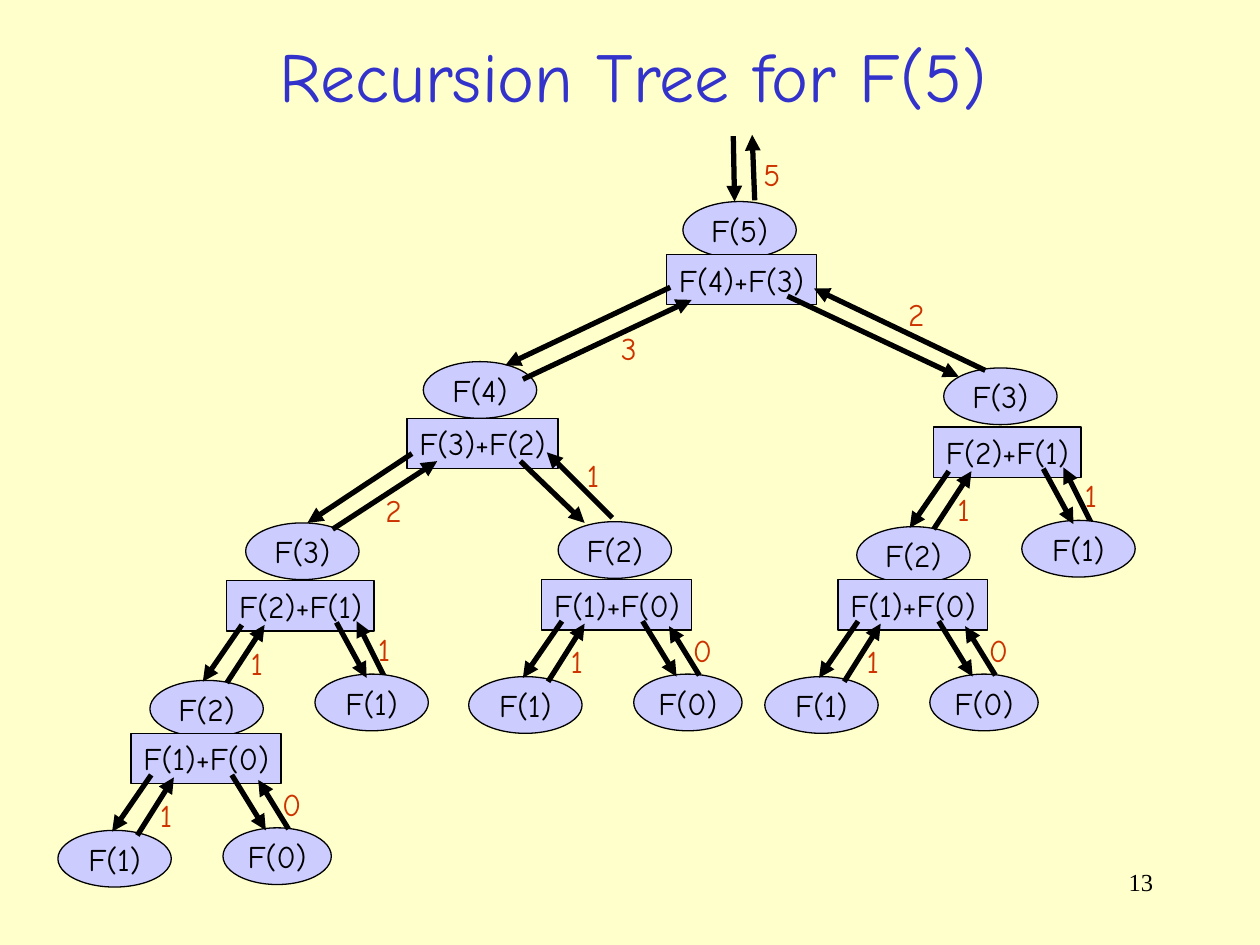
from lxml.etree import SubElement
from pptx import Presentation
from pptx.dml.color import RGBColor
from pptx.enum.shapes import MSO_CONNECTOR, MSO_SHAPE
from pptx.enum.text import MSO_ANCHOR, MSO_AUTO_SIZE, PP_ALIGN
from pptx.oxml.ns import qn
from pptx.util import Inches, Pt

TITLE = "Recursion Tree for F(5)"
PAGE_NUMBER = "13"
ROOT_ARGUMENT = 5
ROOT_SUM = (5.29, 2.02)

# Each branch is measured in inches from the sum box of the caller:
# ellipse, call arrow (from, to), return arrow (from, to), returned value,
# and the sum box of the called function (None for a base case).
# With back_under the return arrow starts beneath the ellipse.
ROOT_BRANCH = dict(ellipse=(0.13, -0.42), call=((0.53, -0.94), (0.54, -0.42)),
                   back=((0.7, -0.43), (0.68, -0.95)), value=(0.67, -0.84),
                   sum_box=(0, 0))
BRANCHES = {
    5: (dict(ellipse=(-1.93, 0.85), call=((0.03, 0.26), (-1.28, 0.88)),
             back=((-1.14, 0.99), (0.2, 0.36)), value=(-0.46, 0.54),
             sum_box=(-2.06, 1.3)),
        dict(ellipse=(2.2, 0.9), call=((0.96, 0.33), (2.32, 0.97)),
             back=((2.53, 0.92), (1.17, 0.27)), value=(1.82, 0.27),
             sum_box=(2.12, 1.37))),
    4: (dict(ellipse=(-1.28, 0.83), call=((0.04, 0.28), (-0.79, 0.83)),
             back=((-0.59, 0.88), (0.24, 0.34)), value=(-0.27, 0.53),
             sum_box=(-1.43, 1.29)),
        dict(ellipse=(1.2, 0.82), call=((0.9, 0.34), (1.41, 0.83)),
             back=((1.63, 0.79), (1.11, 0.27)), value=(1.33, 0.25),
             sum_box=(1.07, 1.28))),
    3: (dict(ellipse=(-0.61, 0.79), call=((0.12, 0.35), (-0.19, 0.8)),
             back=((0, 0.81), (0.3, 0.35)), value=(0.09, 0.45),
             sum_box=(-0.76, 1.21)),
        dict(ellipse=(0.7, 0.74), call=((0.87, 0.33), (1.11, 0.77)),
             back=((1.27, 0.8), (1.03, 0.32)), value=(1.1, 0.34),
             sum_box=None, back_under=True)),
    2: (dict(ellipse=(-0.58, 0.77), call=((0.16, 0.33), (-0.15, 0.78)),
             back=((0.05, 0.81), (0.34, 0.35)), value=(0.13, 0.45),
             sum_box=None),
        dict(ellipse=(0.73, 0.75), call=((0.8, 0.33), (1.07, 0.77)),
             back=((1.25, 0.76), (1.01, 0.37)), value=(1.1, 0.36),
             sum_box=None)),
}
ELLIPSE_WIDTHS = {0: 0.86}
SUM_WIDTHS = {3: 1.17, 4: 1.2}

CREAM = RGBColor(0xFF, 0xFF, 0xCC)
LAVENDER = RGBColor(0xCC, 0xCC, 0xFF)
BLUE = RGBColor(0x33, 0x33, 0xCC)
RED = RGBColor(0xCC, 0x33, 0x00)
BLACK = RGBColor(0x00, 0x00, 0x00)


def write(shape, text, size=18, font="Comic Neue", color=BLACK, align=PP_ALIGN.LEFT,
          anchor=MSO_ANCHOR.TOP, wrap=True, margin_right=0.1):
    frame = shape.text_frame
    frame.text = text
    frame.word_wrap = wrap
    frame.auto_size = MSO_AUTO_SIZE.NONE
    frame.vertical_anchor = anchor
    frame.margin_right = Inches(margin_right)
    paragraph = frame.paragraphs[0]
    paragraph.alignment = align
    run_font = paragraph.runs[0].font
    run_font.name = font
    run_font.size = Pt(size)
    run_font.color.rgb = color


def shifted(origin, offset):
    return origin[0] + offset[0], origin[1] + offset[1]


def add_text_box(slide, text, position, width, height, **text_format):
    box = slide.shapes.add_textbox(*map(Inches, (*position, width, height)))
    write(box, text, **text_format)


def add_node(slide, kind, text, position, width, height, **text_format):
    node = slide.shapes.add_shape(kind, *map(Inches, (*position, width, height)))
    node.shadow.inherit = False
    node.fill.solid()
    node.fill.fore_color.rgb = LAVENDER
    node.line.color.rgb = BLACK
    node.line.width = Pt(0.75)
    write(node, text, **text_format)


def add_arrow(slide, origin, ends):
    start, end = (shifted(origin, point) for point in ends)
    arrow = slide.shapes.add_connector(MSO_CONNECTOR.STRAIGHT,
                                       *map(Inches, (*start, *end)))
    arrow.line.color.rgb = BLACK
    arrow.line.width = Pt(3)
    SubElement(arrow.line._get_or_add_ln(), qn("a:tailEnd"), type="triangle")
    SubElement(arrow._element.spPr, qn("a:effectLst"))


def fibonacci(n):
    return n if n < 2 else fibonacci(n - 1) + fibonacci(n - 2)


def draw_call(slide, n, origin, branch):
    """Draw the call F(n) from the sum box at origin, then the calls it makes."""
    back_under = branch.get("back_under", False)
    if back_under:
        add_arrow(slide, origin, branch["back"])
    add_node(slide, MSO_SHAPE.OVAL, f"F({n})", shifted(origin, branch["ellipse"]),
             ELLIPSE_WIDTHS.get(n, 0.9), 0.45, wrap=False,
             align=PP_ALIGN.CENTER, anchor=MSO_ANCHOR.MIDDLE)
    add_arrow(slide, origin, branch["call"])
    if not back_under:
        add_arrow(slide, origin, branch["back"])
    add_text_box(slide, str(fibonacci(n)), shifted(origin, branch["value"]),
                 0.35, 0.4, color=RED)
    if branch["sum_box"] is None:
        return
    corner = shifted(origin, branch["sum_box"])
    add_node(slide, MSO_SHAPE.RECTANGLE, f"F({n - 1})+F({n - 2})", corner,
             SUM_WIDTHS.get(n, 1.19), 0.4, margin_right=0)
    for step, child in enumerate(BRANCHES[n], start=1):
        draw_call(slide, n - step, corner, child)


def main():
    presentation = Presentation()
    presentation.slide_width, presentation.slide_height = Inches(10), Inches(7.5)
    slide = presentation.slides.add_slide(presentation.slide_layouts[5])
    slide.background.fill.solid()
    slide.background.fill.fore_color.rgb = CREAM

    title = slide.shapes.title
    title.left, title.top = Inches(0.24), Inches(0.24)
    title.width, title.height = Inches(9.57), Inches(0.7)
    write(title, TITLE, size=40, color=BLUE, align=PP_ALIGN.CENTER,
          anchor=MSO_ANCHOR.MIDDLE)
    add_text_box(slide, PAGE_NUMBER, (7.17, 6.83), 2.08, 0.5, size=14,
                 font="Times New Roman", align=PP_ALIGN.RIGHT)

    draw_call(slide, ROOT_ARGUMENT, ROOT_SUM, ROOT_BRANCH)
    presentation.save("out.pptx")


if __name__ == "__main__":
    main()
